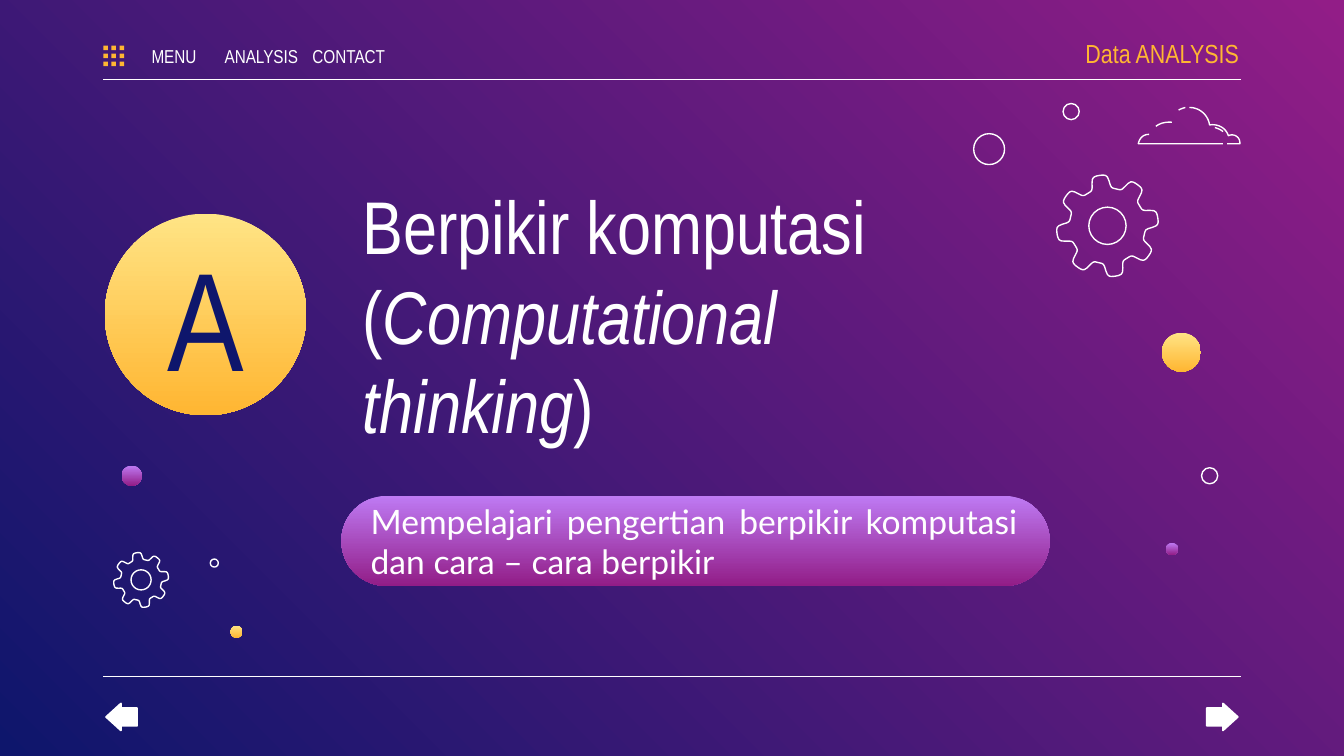
import math

from lxml import etree
from pptx import Presentation
from pptx import util as u
from pptx.dml import color
from pptx.enum import shapes, text
from pptx.oxml import ns

# Square grid: 100 columns by 56.25 rows
COLS, ROWS = 100, 56.25
CELL = u.Inches(0.1)
WHITE, NAVY, AMBER = "FFFFFF", "0E166C", "FFB632"
GOLD = ("FFE485", AMBER)
VIOLET = ("BE7AF3", "921D87")
KIND = shapes.MSO_SHAPE
ALIGN = text.PP_ALIGN
NARROW = "Arial Narrow"


def rgb(value):
    return color.RGBColor.from_string(value)


def cells(*values):
    return [u.Emu(round(v * CELL)) for v in values]


def paint(fill, paint_with, angle=270):
    """None clears, a string is solid, a pair is a gradient."""
    if paint_with is None:
        fill.background()
    elif isinstance(paint_with, str):
        fill.solid()
        fill.fore_color.rgb = rgb(paint_with)
    else:
        fill.gradient()
        fill.gradient_angle = angle
        for i, value in enumerate(paint_with):
            fill.gradient_stops[i].color.rgb = rgb(value)
            fill.gradient_stops[i].position = i


def style(sp, fill=None, line=None, width=0.75):
    sp.shadow.inherit = False
    paint(sp.fill, fill)
    paint(sp.line.fill, line)
    if line:
        sp.line.width = u.Pt(width)
    return sp


def add_preset(s, kind, box, **look):
    return style(s.shapes.add_shape(kind, *cells(*box)), **look)


def add_disc(s, cx, cy, d, **look):
    return add_preset(s, KIND.OVAL, (cx - d / 2, cy - d / 2, d, d), **look)


def add_outline(s, points, close):
    pts = [tuple(cells(*p)) for p in points]
    fb = s.shapes.build_freeform(*pts[0], scale=1.0)
    fb.add_line_segments(pts[1:], close=close)
    return style(fb.convert_to_shape(), line=WHITE)


def add_rule(s, x, y, w):
    x1, y1, x2 = cells(x, y, x + w)
    c = s.shapes.add_connector(shapes.MSO_CONNECTOR.STRAIGHT, x1, y1, x2, y1)
    c.line.color.rgb = rgb(WHITE)
    c.line.width = u.Pt(0.75)
    etree.SubElement(c._element.spPr, ns.qn("a:effectLst"))


def add_text(s, box, runs, size, font=NARROW, fill=WHITE, align=ALIGN.LEFT,
             left=1, right=1):
    tf = s.shapes.add_textbox(*cells(*box)).text_frame
    tf.word_wrap = True
    tf.vertical_anchor = text.MSO_ANCHOR.MIDDLE
    tf.margin_left, tf.margin_right = cells(left, right)
    tf.margin_top = tf.margin_bottom = CELL
    p = tf.paragraphs[0]
    p.alignment = align
    for words, italic in runs:
        r = p.add_run()
        r.text = words
        r.font.name, r.font.size, r.font.italic = font, u.Pt(size), italic
        r.font.color.rgb = rgb(fill)


def add_header(s, x, y, w, h):
    # Nine-dot menu icon
    for i in range(9):
        add_preset(s, KIND.RECTANGLE,
                   (x + i // 3 * 0.6, y + 1.1 + i % 3 * 0.6, 0.34, 0.34), fill=AMBER)
    # Navigation labels
    for i, label in enumerate(("MENU", "ANALYSIS", "CONTACT")):
        add_text(s, (x + 2.4 + 6.5 * i, y + 0.7, 5.7, 2.3), [(label, False)], 10,
                 align=ALIGN.CENTER, left=0, right=0)
    # Section name
    add_text(s, (x + w - 15.1, y, 15, 3.3), [("Data ANALYSIS", False)], 14,
             fill=AMBER, align=ALIGN.RIGHT, right=0)
    add_rule(s, x, y + h, w)


def add_footer(s, x, y, w, h):
    add_rule(s, x, y, w)
    # Page arrows, rounded by their outline
    for kind, left in ((KIND.LEFT_ARROW, x + 0.2), (KIND.RIGHT_ARROW, x + w - 2.5)):
        sp = add_preset(s, kind, (left, y + h - 2, 2.3, 2),
                        fill=WHITE, line=WHITE, width=1)
        sp.adjustments[0], sp.adjustments[1] = 0.66, 0.55


def add_topic(s, x, y, w, h):
    # Letter badge
    add_disc(s, x + 7.5, y + 9.5, 15, fill=GOLD)
    add_text(s, (x, y + 5.4, 15, 8.3), [("A", False)], 75, fill=NAVY,
             align=ALIGN.CENTER)
    # Title
    add_text(s, (x + 18.2, y, 49.7, 19),
             [("Berpikir komputasi (", False), ("Computational thinking", True),
              (")", False)], 40)
    # Subtitle pill
    pill = add_preset(s, KIND.ROUNDED_RECTANGLE, (x + 17.6, y + h - 6.7, w - 17.6, 6.7),
                      fill=VIOLET)
    pill.adjustments[0] = 0.5
    add_text(s, (x + 18.8, y + h - 5, 50.1, 3.3),
             [("Mempelajari pengertian berpikir komputasi dan cara – cara berpikir", False)],
             18, font="Lato", align=ALIGN.JUSTIFY)


def add_gear(s, cx, cy, radius, teeth=8, tilt=-9):
    points = []
    for deg in range(0, 360, 2):
        wave = math.tanh(2.5 * math.cos(math.radians(teeth * (deg - tilt))))
        reach = radius * (0.87 + 0.13 * wave)
        a = math.radians(deg)
        points.append((cx + reach * math.cos(a), cy + reach * math.sin(a)))
    add_outline(s, points, True)
    add_disc(s, cx, cy, radius * 0.73, line=WHITE)


def bezier(p, steps=10):
    for i in range(steps + 1):
        t = i / steps
        weights = ((1 - t) ** 3, 3 * t * (1 - t) ** 2, 3 * t * t * (1 - t), t ** 3)
        yield tuple(sum(k * q[axis] for k, q in zip(weights, p)) for axis in (0, 1))


def add_cloud(s, x, y):
    # Each stroke is a chain of cubic curves; every third point is a joint
    strokes = (
        [(3.8, 0), (4.6, 0), (5.2, 0.6), (5.3, 1.3), (5.9, 1.2), (6.5, 1.5), (6.7, 2.1),
         (7.1, 1.9), (7.6, 2.2), (7.55, 2.7), (7.3, 2.7), (7, 2.7), (6.6, 2.7)],
        [(3.5, 0), (3.5, 0), (3.1, 0.1), (3, 0.2)],
        [(6.3, 2.7), (4, 2.7), (2, 2.7), (0, 2.7), (0, 2.7), (0.1, 2), (0.8, 2)],
        [(5.7, 1.5), (5.7, 1.5), (6.1, 1.6), (6.3, 1.8)],
        [(2.5, 1.1), (2.5, 1.1), (1.8, 1), (1.3, 1.4)],
    )
    for stroke in strokes:
        points = [(x + px, y + py) for i in range(0, len(stroke) - 1, 3)
                  for px, py in bezier(stroke[i:i + 4])]
        add_outline(s, points, False)


def add_decor(s, x, y, w, h):
    right = x + w
    # Filled dots
    for cx, cy, d, fill in ((right - 4.4, y + 18.5, 2.9, GOLD), (x + 2.1, y + 27.7, 1.5, VIOLET),
                            (x + 9.9, y + 39.3, 0.9, GOLD), (right - 5.1, y + 33.15, 0.9, VIOLET)):
        add_disc(s, cx, cy, d, fill=fill)
    # Rings
    for cx, cy, d in ((right - 12.6, y + 0.6, 1.2), (right - 2.3, y + 27.7, 1.2),
                      (right - 18.7, y + 3.4, 2.3), (x + 8.25, y + 34.2, 0.6)):
        add_disc(s, cx, cy, d, line=WHITE)
    add_cloud(s, right - 7.6, y + 0.3)
    add_gear(s, right - 9.9, y + 9.1, 3.8)
    add_gear(s, x + 2.8, y + 35.45, 2.05)


def main():
    prs = Presentation()
    prs.slide_width, prs.slide_height = cells(COLS, ROWS)
    s = prs.slides.add_slide(prs.slide_layouts[6])
    paint(s.background.fill, ("921D87", NAVY), angle=225)
    margin = 7.7
    inner = COLS - 2 * margin
    add_footer(s, margin, 50.35, inner, 4)
    add_topic(s, margin + 0.1, 13.9, 70.3, 29.7)
    add_decor(s, margin, 7.7, inner, 40)
    add_header(s, margin, 2.3, inner, 3.6)
    prs.save("out.pptx")


if __name__ == "__main__":
    main()
